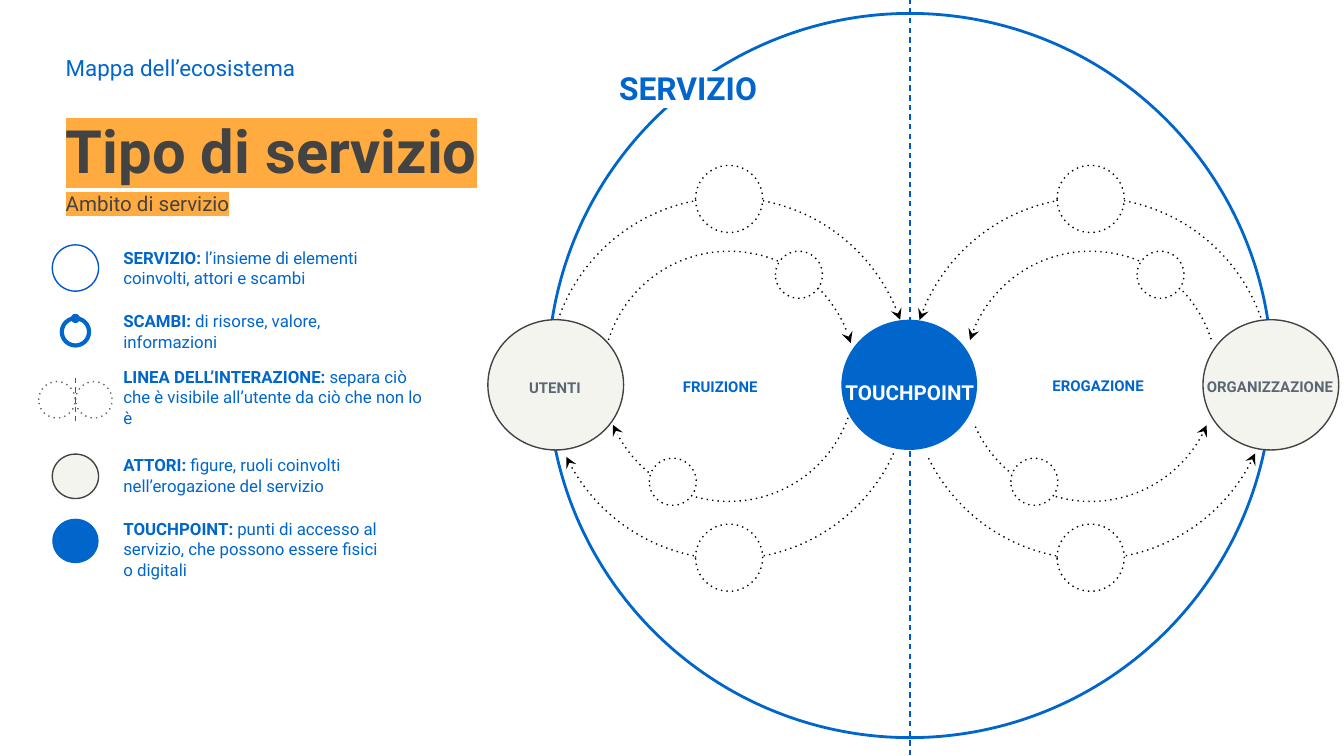
import pptx
import pptx.util
import pptx.dml.color
import pptx.enum.shapes
import pptx.enum.text
import pptx.oxml.ns
import lxml.etree

Pt = pptx.util.Pt
RGB = pptx.dml.color.RGBColor.from_string
SHAPE = pptx.enum.shapes.MSO_SHAPE
ANCHOR = pptx.enum.text.MSO_ANCHOR
ALIGN = pptx.enum.text.PP_ALIGN
qn = pptx.oxml.ns.qn

COLORS = {"blue": "0066CC", "deep_blue": "0056CB", "dark": "434343", "slate": "5A6772",
          "cream": "F4F4EF", "orange": "FFAB40", "white": "FFFFFF", "black": "000000"}

deck = pptx.Presentation()
deck.slide_width, deck.slide_height = Pt(720), Pt(405)
slide = deck.slides.add_slide(deck.slide_layouts[5])


def write(holder, text, lead="", size=9, color="blue", bold=False, highlight=None,
          align=ALIGN.LEFT, anchor=ANCHOR.MIDDLE, spacing=None):
    """Fill a shape with one paragraph, opened by an optional bold lead."""
    frame = holder.text_frame
    frame.word_wrap = True
    frame.auto_size = pptx.enum.text.MSO_AUTO_SIZE.NONE
    frame.vertical_anchor = anchor
    frame.margin_left = frame.margin_right = frame.margin_top = frame.margin_bottom = Pt(7.2)
    paragraph = frame.paragraphs[0]
    paragraph.alignment = align
    if spacing:
        paragraph.line_spacing = spacing
    for part, is_bold in ((lead, True), (text, bold)):
        if not part:
            continue
        run = paragraph.add_run()
        run.text = part
        run.font.size, run.font.bold = Pt(size), is_bold
        run.font.color.rgb = RGB(COLORS[color])
        if highlight:
            mark = lxml.etree.Element(qn("a:highlight"))
            lxml.etree.SubElement(mark, qn("a:srgbClr"), val=COLORS[highlight])
            run.font.fill  # the highlight follows the text fill
            run.font._element.find(qn("a:solidFill")).addnext(mark)
        run.font.name = "Roboto"


def draw(kind, cx, cy, width, height=None, fill=None, line=None, weight=0.75,
         dash=None, arrow=None, parent=slide):
    """Draw a shape around its centre; a "line" runs vertically."""
    height = height or width
    left, top = cx - width / 2, cy - height / 2
    if kind == "line":
        item = parent.shapes.add_connector(pptx.enum.shapes.MSO_CONNECTOR.STRAIGHT,
                                           Pt(cx), Pt(top), Pt(cx), Pt(top + height))
        lxml.etree.SubElement(item._element.spPr, qn("a:effectLst"))
    else:
        item = parent.shapes.add_shape(kind, Pt(left), Pt(top), Pt(width), Pt(height))
        item.shadow.inherit = False
        if fill:
            item.fill.solid()
            item.fill.fore_color.rgb = RGB(COLORS[fill])
        else:
            item.fill.background()
    if line:
        item.line.color.rgb = RGB(COLORS[line])
        item.line.width = Pt(weight)
        outline = item.line._get_or_add_ln()
        if dash:
            lxml.etree.SubElement(outline, qn("a:prstDash"), val=dash)
        if arrow:
            lxml.etree.SubElement(outline, qn("a:" + arrow), type="stealth")
    else:
        item.line.fill.background()
    return item


# Service boundary and line of interaction
divide_x, actors_y = 487.5, 206.2
draw(SHAPE.OVAL, divide_x, 201.2, 388, line="blue", weight=1.5)
draw("line", divide_x, 202.7, 0.1, 406.8, line="deep_blue", dash="dash")

# Exchanges: diameter, centre y, rotation, start angles (left, right), end angle,
# then bubble diameter, offset from the centre and y
exchanges = [
    (193.7, 202.7, 0, (198.8, 198.8), 341.1, 36, 0, 106.6),
    (193.7, 202.7, 180, (204.5, 204.5), 334.3, 36, 0, 298.8),
    (135.4, 202.3, 0, (197.3, 197.3), 344.1, 25.2, 37.4, 147.2),
    (135.4, 200.9, 180, (197.3, 203.4), 336.8, 25.2, -30.2, 258.1),
]
for side, (cycle_x, arrow) in enumerate(((390.6, "tailEnd"), (584.3, "headEnd"))):
    for size, cy, turn, starts, end, bubble, offset, bubble_y in exchanges:
        exchange = slide.shapes.add_group_shape()
        arc = draw(SHAPE.ARC, cycle_x, cy, size, line="black", dash="dot",
                   arrow=arrow, parent=exchange)
        # Adjustments count 60000ths of a degree in units of 100000
        arc.adjustments[0], arc.adjustments[1] = starts[side] * 0.6, end * 0.6
        arc.rotation = turn
        draw(SHAPE.OVAL, cycle_x + offset, bubble_y, bubble, fill="white",
             line="black", dash="dot", parent=exchange)

# Actors and touchpoint
for actor_x, fill, line in ((297.7, "cream", "dark"), (680.8, "cream", "dark"),
                            (487.1, "blue", None)):
    draw(SHAPE.OVAL, actor_x, actors_y, 72.7, 69.8, fill=fill, line=line)

# Diagram labels
low = {"anchor": ANCHOR.TOP}
labels = [
    ("SERVIZIO", 323.3, 29.5, 90.7, 29.5, {"size": 17, "highlight": "white", **low}),
    ("FRUIZIONE", 336.2, 197.3, 99.4, 19.4, {"size": 8}),
    ("EROGAZIONE", 538.6, 196.6, 99.4, 19.4, {"size": 8}),
    ("UTENTI", 246.2, 194.4, 102.2, 37.4,
     {"size": 8, "color": "slate", "spacing": 1.15, **low}),
    ("ORGANIZZAZIONE", 637.9, 194.4, 85, 24.5,
     {"size": 8, "color": "slate", "spacing": 1.15}),
    ("TOUCHPOINT", 436.3, 194.4, 102.2, 37.4,
     {"size": 11, "color": "white", "spacing": 1.15, **low}),
]
for label, left, top, width, height, style in labels:
    box = slide.shapes.add_textbox(Pt(left), Pt(top), Pt(width), Pt(height))
    write(box, label, bold=True, align=ALIGN.CENTER, **style)

# Headings
heading_x = 28.1
title = slide.shapes.title
title.left, title.top, title.width, title.height = Pt(heading_x), Pt(65.5), Pt(273.6), Pt(29.5)
write(title, "Tipo di servizio", size=32, color="dark", bold=True, highlight="orange")
kicker = slide.shapes.add_textbox(Pt(heading_x), Pt(25.2), Pt(305.3), Pt(22.3))
write(kicker, "Mappa dell’ecosistema", size=12)
scope = slide.shapes.add_textbox(Pt(heading_x), Pt(95), Pt(249.1), Pt(24.5))
write(scope, "Ambito di servizio", size=11, color="dark", highlight="orange", **low)

# Legend texts
legend = [
    ("SERVIZIO:", " l’insieme di elementi coinvolti, attori e scambi", 132.5, 152.6),
    ("SCAMBI:", " di risorse, valore, informazioni", 166.3, 152.6),
    ("LINEA DELL’INTERAZIONE:",
     " separa ciò che è visibile all’utente da ciò che non lo è", 201.6, 177.1),
    ("ATTORI:", " figure, ruoli coinvolti nell’erogazione del servizio", 243.4, 152.6),
    ("TOUCHPOINT:", " punti di accesso al servizio, che possono essere fisici o digitali",
     283, 152.6),
]
for term, meaning, top, width in legend:
    entry = slide.shapes.add_textbox(Pt(59), Pt(top), Pt(width), Pt(22.3))
    write(entry, meaning, lead=term)

# Legend symbols
symbol_x = 40.4
draw(SHAPE.OVAL, symbol_x, 143.6, 24.8, line="deep_blue")
exchange_symbol = slide.shapes.add_group_shape()
draw(SHAPE.OVAL, symbol_x, 177.8, 14.6, line="blue", weight=2.25, parent=exchange_symbol)
draw(SHAPE.OVAL, symbol_x, 170.6, 2.7, fill="white", line="blue", weight=2.25,
     parent=exchange_symbol)
interaction_symbol = slide.shapes.add_group_shape()
for offset in (-9.9, 9.9):
    draw(SHAPE.OVAL, symbol_x + offset, 214.2, 19.6, line="slate", dash="dot",
         parent=interaction_symbol)
draw("line", symbol_x, 213.9, 0.1, 23, line="blue", dash="dash", parent=interaction_symbol)
draw(SHAPE.OVAL, symbol_x, 255.2, 24.8, 23.8, fill="cream", line="dark")
draw(SHAPE.OVAL, symbol_x, 289.8, 24.8, 23.8, fill="blue")

deck.save("out.pptx")
